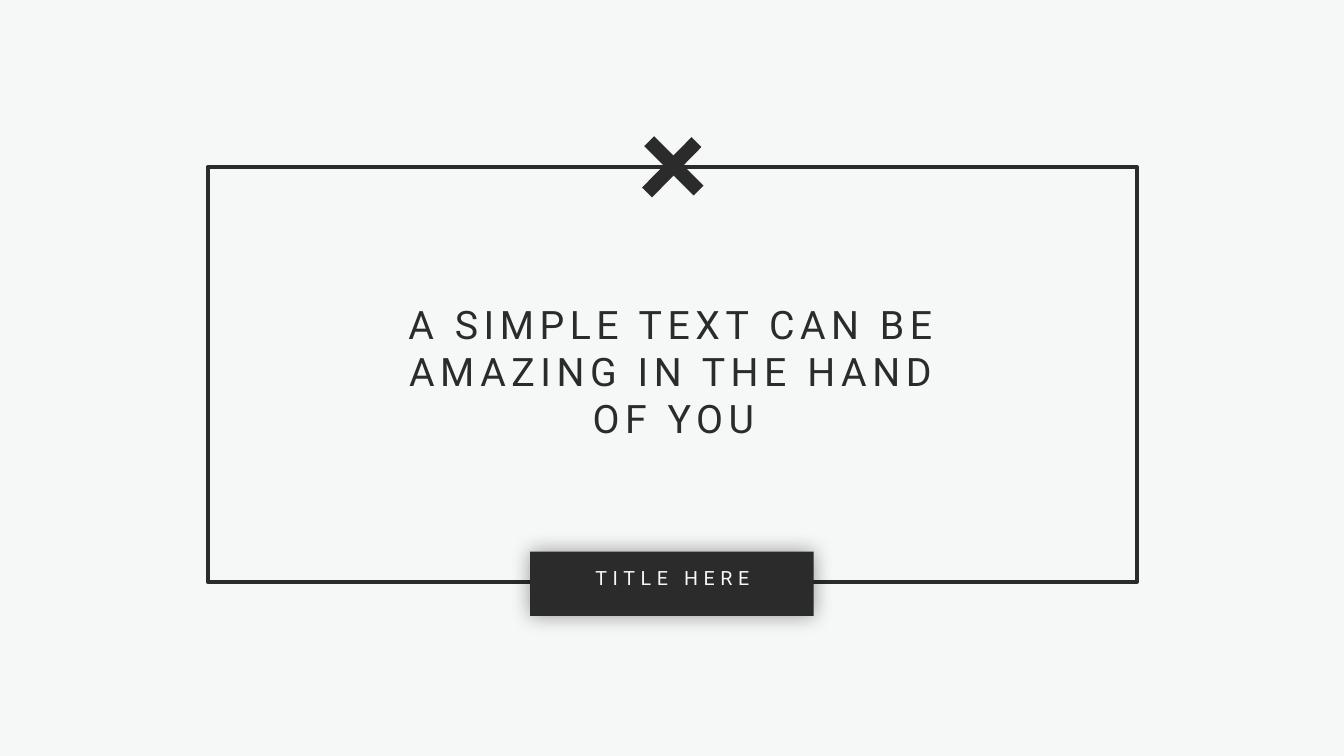
import pptx
import pptx.dml.color
import pptx.enum.shapes
import pptx.enum.text
import pptx.oxml
import pptx.util

Pt = pptx.util.Pt
RECT = pptx.enum.shapes.MSO_SHAPE.RECTANGLE
STRAIGHT = pptx.enum.shapes.MSO_CONNECTOR.STRAIGHT
TOP = pptx.enum.text.MSO_ANCHOR.TOP
CENTER = pptx.enum.text.PP_ALIGN.CENTER
FIT = pptx.enum.text.MSO_AUTO_SIZE
NS = 'xmlns:a="http://schemas.openxmlformats.org/drawingml/2006/main"'

# Content: lengths in points, boxes as left, top, width, height
DARK, PALE = "2B2B2B", "F6F8F8"
SLIDE = (960, 540)
QUOTE = dict(text="A SIMPLE TEXT CAN BE AMAZING IN THE HAND OF YOU",
             box=(272.9, 211, 416.2, 108.7), size=28, color=DARK,
             spacing=1.0, auto_size=FIT.SHAPE_TO_FIT_TEXT)
LABEL = dict(text="TITLE HERE", box=(395.3, 402.5, 170, 29.5), size=14,
             color=PALE, spacing=0.9, auto_size=FIT.NONE)
FRAME = (148.3, 119.5, 663.8, 296)
LABEL_PLATE = (378.7, 394, 202.5, 46)
CROSS = [(497.5, 101.5, 462.2, 137.5), (499, 136.1, 463.7, 100.8)]
LETTER_GAP = 4
SHADOW = dict(blur=15, opacity=40)


def rgb(color):
    return pptx.dml.color.RGBColor.from_string(color)


def points(values):
    return [Pt(v) for v in values]


def set_line(sp, width):
    sp.line.color.rgb = rgb(DARK)
    sp.line.width = Pt(width)


def write(sp, item):
    for name, value in zip(("left", "top", "width", "height"), points(item["box"])):
        setattr(sp, name, value)
    tf = sp.text_frame
    for name, value in dict(word_wrap=True, auto_size=item["auto_size"],
                            vertical_anchor=TOP, margin_left=Pt(7.2),
                            margin_right=Pt(7.2), margin_top=Pt(3.6),
                            margin_bottom=Pt(3.6)).items():
        setattr(tf, name, value)
    p = tf.paragraphs[0]
    for name, value in dict(alignment=CENTER, line_spacing=item["spacing"],
                            space_before=Pt(0), space_after=Pt(0)).items():
        setattr(p, name, value)
    r = p.add_run()
    r.text = item["text"]
    for name, value in dict(name="Roboto", size=Pt(item["size"]), bold=False).items():
        setattr(r.font, name, value)
    r.font.color.rgb = rgb(item["color"])
    r._r.get_or_add_rPr().set("spc", str(LETTER_GAP * 100))


prs = pptx.Presentation()
prs.slide_width, prs.slide_height = points(SLIDE)
s = prs.slides.add_slide(prs.slide_layouts[5])
s.background.fill.solid()
s.background.fill.fore_color.rgb = rgb(PALE)

# Quote
write(s.shapes.title, QUOTE)

# Frame
frame = s.shapes.add_shape(RECT, *points(FRAME))
frame.shadow.inherit = False
frame.fill.background()
set_line(frame, 3)

# Label on a plate with a soft shadow
label = s.shapes.add_group_shape()
plate = label.shapes.add_shape(RECT, *points(LABEL_PLATE))
plate.fill.solid()
plate.fill.fore_color.rgb = rgb(DARK)
plate.line.fill.background()
plate._element.spPr.append(pptx.oxml.parse_xml(
    f'<a:effectLst {NS}><a:outerShdw blurRad="{Pt(SHADOW["blur"])}" dist="0" '
    f'algn="ctr" rotWithShape="0"><a:srgbClr val="000000">'
    f'<a:alpha val="{SHADOW["opacity"] * 1000}"/></a:srgbClr>'
    f'</a:outerShdw></a:effectLst>'))
write(label.shapes.add_textbox(*points(LABEL["box"])), LABEL)

# Cross on the top edge
cross = s.shapes.add_group_shape()
for ends in CROSS:
    bar = cross.shapes.add_connector(STRAIGHT, *points(ends))
    set_line(bar, 10)
    bar._element.spPr.append(pptx.oxml.parse_xml(f"<a:effectLst {NS}/>"))

prs.save("out.pptx")
